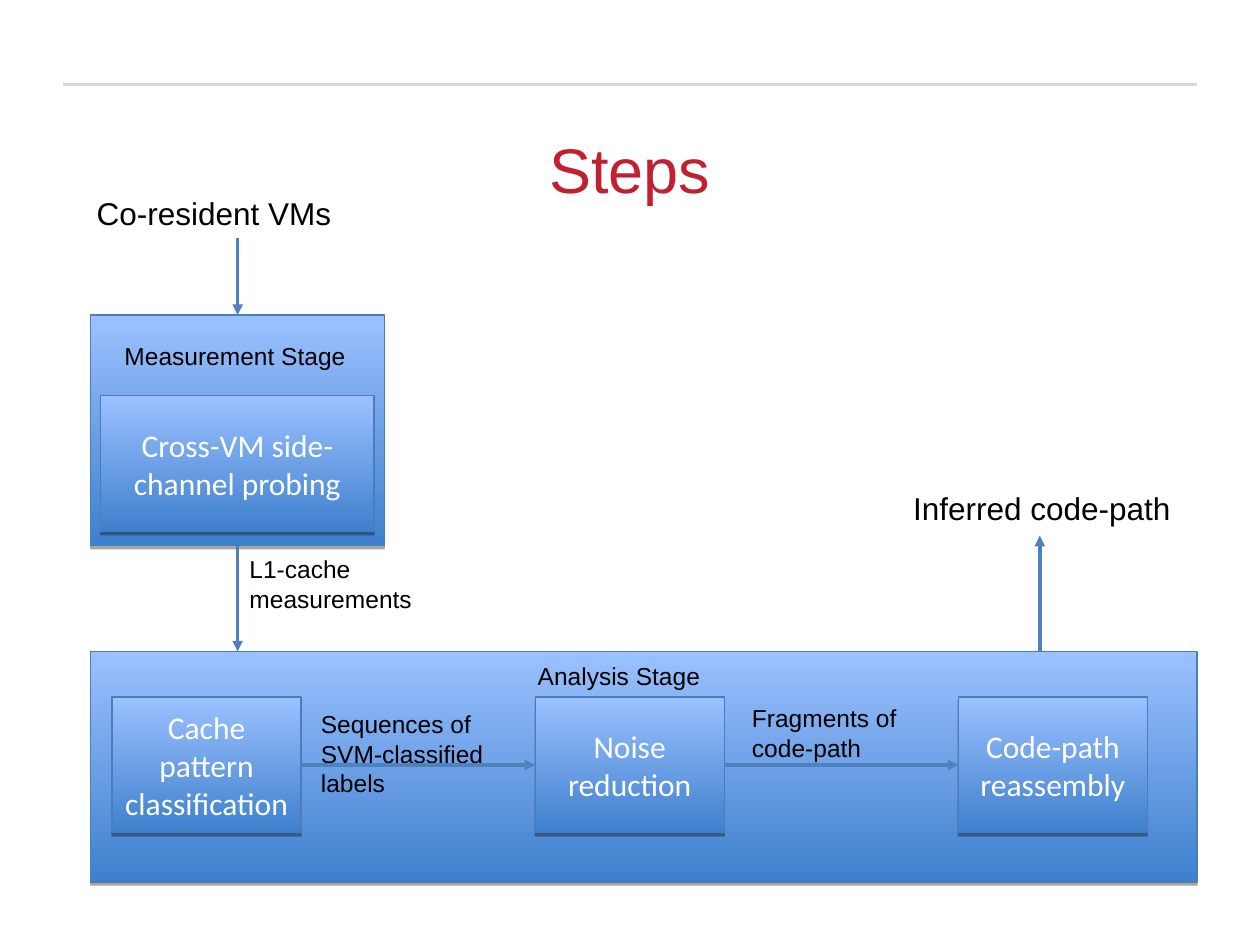
from lxml import etree
from pptx import Presentation
from pptx.dml.color import RGBColor
from pptx.enum.shapes import MSO_CONNECTOR as Connector, MSO_SHAPE as Shape
from pptx.enum.text import MSO_ANCHOR as Anchor, PP_ALIGN as Align
from pptx.oxml.ns import qn
from pptx.util import Cm, Pt

# Content: lengths in cm, boxes as left, top, width, height
TITLE = ("Steps", (1.27, 2.34, 22.86, 2.11))
MEASUREMENT_STAGE = (1.83, 6.35, 5.92, 4.65)
ANALYSIS_STAGE = (1.83, 13.13, 22.3, 4.65)
PROBING = ("Cross-VM side-channel probing", (2.03, 7.98, 5.51, 2.74))
ANALYSIS_STEPS = ["Cache pattern classification", "Noise reduction", "Code-path reassembly"]
STEP_LEFT, STEP_TOP, STEP_WIDTH, STEP_HEIGHT = 2.26, 14.05, 3.81, 2.74
STEP_PITCH = 8.53
LABELS = [  # text, size, box
    ("Co-resident VMs", 18, (1.7, 3.78, 6.15, 1.02)),
    ("Measurement Stage", 14, (2.26, 6.76, 5.28, 0.86)),
    ("L1-cache measurements", 14, (4.78, 11.05, 3.89, 1.45)),
    ("Analysis Stage", 14, (10.59, 13.21, 4.14, 0.86)),
    ("Sequences of SVM-classified labels", 14, (6.22, 14.17, 3.89, 2.03)),
    ("Fragments of code-path", 14, (14.91, 14.05, 3.89, 1.45)),
    ("Inferred code-path", 18, (18.16, 9.73, 6.15, 1.02)),
]
INPUT_X, INPUT_TOP = 4.79, 4.8
OUTPUT_X, OUTPUT_TOP = 20.96, 10.8
TOP, LEFT, BOTTOM, RIGHT = range(4)

presentation = Presentation()
presentation.slide_width, presentation.slide_height = Cm(25.4), Cm(19.05)
slide = presentation.slides.add_slide(presentation.slide_layouts[6])


def color(value):
    return RGBColor.from_string(value)


def write(shape, text, size, font, ink, align, anchor):
    frame = shape.text_frame
    frame.word_wrap = True
    frame.vertical_anchor = anchor
    paragraph = frame.paragraphs[0]
    paragraph.text = text
    paragraph.alignment = align
    paragraph.font.size = Pt(size)
    paragraph.font.name = font
    paragraph.font.color.rgb = color(ink)


def add_label(text, size, box, ink="000000", align=Align.LEFT, anchor=Anchor.TOP):
    label = slide.shapes.add_textbox(*map(Cm, box))
    write(label, text, size, "Arial", ink, align, anchor)


def add_box(box, text=None):
    shape = slide.shapes.add_shape(Shape.RECTANGLE, *map(Cm, box))
    shape.fill.gradient()
    shape.fill.gradient_angle = 90
    for stop, value in zip(shape.fill.gradient_stops, ("3F80CD", "9BC1FF")):
        stop.color.rgb = color(value)
    shape.line.color.rgb = color("4A7EBB")
    shape.line.width = Pt(0.75)
    # Thin shadow straight below the box
    shape.shadow.inherit = False
    effects = shape._element.spPr.find(qn("a:effectLst"))
    shadow = etree.SubElement(effects, qn("a:outerShdw"), blurRad="0",
                              dist=str(Pt(1.8)), dir="5400000", rotWithShape="0")
    tone = etree.SubElement(shadow, qn("a:srgbClr"), val="000000")
    etree.SubElement(tone, qn("a:alpha"), val="35000")
    if text:
        write(shape, text, 18, "Calibri", "FFFFFF", Align.CENTER, Anchor.MIDDLE)
    return shape


def add_line(start, end, ink="4F81BD", arrow=True, begin=None, finish=None):
    line = slide.shapes.add_connector(Connector.STRAIGHT, *map(Cm, start + end))
    line.line.color.rgb = color(ink)
    line.line.width = Pt(2)
    if arrow:
        etree.SubElement(line.line._get_or_add_ln(), qn("a:tailEnd"), type="triangle")
    etree.SubElement(line._element.spPr, qn("a:effectLst"))
    if begin:
        line.begin_connect(*begin)
    if finish:
        line.end_connect(*finish)


# Header rule and title
add_line((1.27, 1.7), (24.13, 1.7), "D9D9D9", arrow=False)
title, title_box = TITLE
add_label(title, 36, title_box, "C12030", Align.CENTER, Anchor.MIDDLE)

# Stages and the steps inside them
measurement = add_box(MEASUREMENT_STAGE)
probing, probing_box = PROBING
add_box(probing_box, probing)
add_box(ANALYSIS_STAGE)
steps = [add_box((STEP_LEFT + i * STEP_PITCH, STEP_TOP, STEP_WIDTH, STEP_HEIGHT), text)
         for i, text in enumerate(ANALYSIS_STEPS)]

for label in LABELS:
    add_label(*label)

# Arrows into, between and out of the stages
measurement_top = MEASUREMENT_STAGE[1]
measurement_bottom = measurement_top + MEASUREMENT_STAGE[3]
analysis_top = ANALYSIS_STAGE[1]
add_line((INPUT_X, INPUT_TOP), (INPUT_X, measurement_top), finish=(measurement, TOP))
add_line((INPUT_X, measurement_bottom), (INPUT_X, analysis_top), begin=(measurement, BOTTOM))
add_line((OUTPUT_X, analysis_top), (OUTPUT_X, OUTPUT_TOP))
middle = STEP_TOP + STEP_HEIGHT / 2
for i, (source, target) in enumerate(zip(steps, steps[1:])):
    left = STEP_LEFT + i * STEP_PITCH
    add_line((left + STEP_WIDTH, middle), (left + STEP_PITCH, middle),
             begin=(source, RIGHT), finish=(target, LEFT))

presentation.save("out.pptx")
